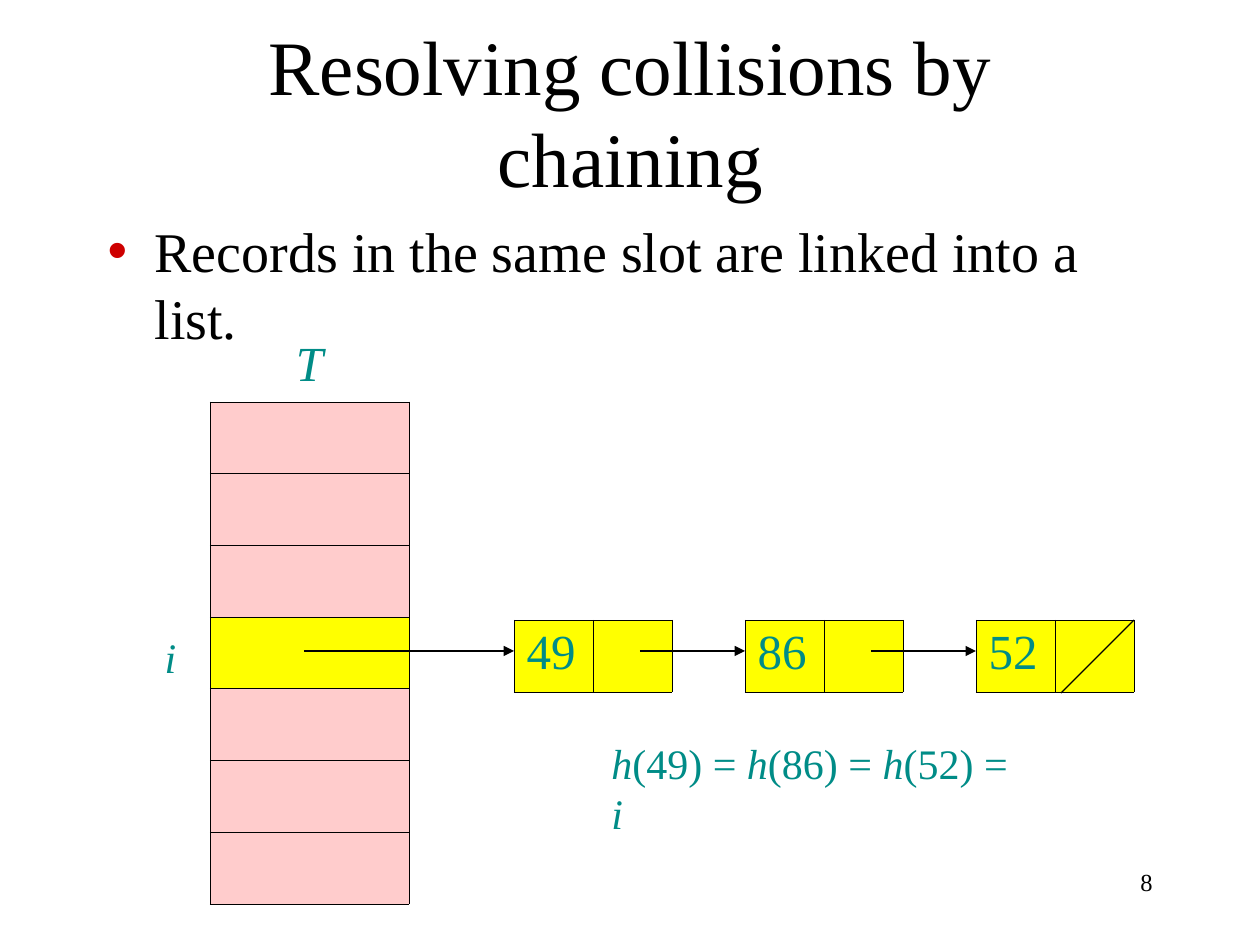
import dataclasses

import pptx
import pptx.dml.color
import pptx.enum.shapes
import pptx.enum.text
import pptx.oxml
import pptx.oxml.ns
import pptx.util

SCALE = 914400 / 126
ALIGN = pptx.enum.text.PP_ALIGN
FIT = pptx.enum.text.MSO_AUTO_SIZE


@dataclasses.dataclass(frozen=True)
class Theme:
    font: str = "Times New Roman"
    ink: str = "000000"
    teal: str = "008C87"
    pink: str = "FFCCCC"
    gold: str = "FFFF00"
    red: str = "CE0000"
    title: int = 44
    body: int = 32
    cell: int = 28
    label: int = 24
    page: int = 14
    line: float = 0.75
    thin: float = 0.23
    rule: float = 0.45


THEME = Theme()


def px(num):
    return pptx.util.Emu(round(num * SCALE))


def rgb(code):
    return pptx.dml.color.RGBColor.from_string(code)


def xml(text):
    return pptx.oxml.parse_xml(text.replace(">", f" {pptx.oxml.ns.nsdecls('a')}>", 1))


def style(font, size, color, slant=False):
    font.name = THEME.font
    font.size = pptx.util.Pt(size)
    font.color.rgb = rgb(color)
    font.italic = slant


def place(shape, box):
    shape.left, shape.top, shape.width, shape.height = map(px, box)


def add_title(slide, box, text):
    title = slide.shapes.title
    place(title, box)
    frame = title.text_frame
    frame.text = text
    frame.auto_size = FIT.NONE
    frame.vertical_anchor = pptx.enum.text.MSO_ANCHOR.MIDDLE
    para = frame.paragraphs[0]
    para.alignment = ALIGN.CENTER
    for run in para.runs:
        style(run.font, THEME.title, THEME.ink)


def add_body(slide, box, text):
    body = slide.placeholders[1]
    place(body, box)
    frame = body.text_frame
    frame.text = text
    frame.auto_size = FIT.NONE
    para = frame.paragraphs[0]
    para.space_before = pptx.util.Pt(0)
    props = para._p.get_or_add_pPr()
    props.set("marL", str(px(47)))
    props.set("indent", str(px(-47)))
    props.append(xml(f'<a:buClr><a:srgbClr val="{THEME.red}"/></a:buClr>'))
    props.append(xml('<a:buChar char="•"></a:buChar>'))
    style(para.runs[0].font, THEME.body, THEME.ink)


def edge(cell, left, right, top, bottom):
    """Set the border widths in points; zero hides a side."""
    props = cell._tc.get_or_add_tcPr()
    for side, width in zip("LRTB", (left, right, top, bottom)):
        fill = f'<a:solidFill><a:srgbClr val="{THEME.ink}"/></a:solidFill>' if width else "<a:noFill/>"
        props.append(xml(f'<a:ln{side} w="{pptx.util.Pt(width)}">{fill}</a:ln{side}>'))


def paint(cell, color):
    cell.fill.solid()
    cell.fill.fore_color.rgb = rgb(color)


def add_grid(slide, box, rows, cols):
    grid = slide.shapes.add_table(rows, cols, *map(px, box)).table
    grid.first_row = grid.horz_banding = False
    return grid


def fill_text(cell, text, slant=False):
    cell.text = text
    para = cell.text_frame.paragraphs[0]
    style(para.runs[0].font, THEME.cell, THEME.teal, slant)
    return para


def add_slots(slide, box, count, hit):
    """Draw the hash table under its name, with slot number hit in gold."""
    head = 66
    grid = add_grid(slide, box, count + 1, 1)
    grid.rows[0].height = px(head)
    name = grid.cell(0, 0)
    para = fill_text(name, "T", slant=True)
    para.alignment = ALIGN.CENTER
    para.line_spacing = 0.9
    edge(name, 0, 0, 0, THEME.rule)
    name.fill.background()
    for row in range(1, count + 1):
        grid.rows[row].height = px((box[3] - head) / count)
        slot = grid.cell(row, 0)
        base = THEME.thin if row == count else THEME.rule
        edge(slot, THEME.thin, THEME.thin, THEME.rule, base)
        paint(slot, THEME.gold if row == hit else THEME.pink)


def add_node(slide, box, key):
    grid = add_grid(slide, box, 1, 2)
    data, link = grid.cell(0, 0), grid.cell(0, 1)
    fill_text(data, key)
    edge(data, THEME.thin, THEME.rule, THEME.thin, THEME.thin)
    edge(link, THEME.rule, THEME.thin, THEME.thin, THEME.thin)
    for cell in (data, link):
        paint(cell, THEME.gold)


def add_line(slide, start, end, arrow=False):
    kind = pptx.enum.shapes.MSO_CONNECTOR.STRAIGHT
    line = slide.shapes.add_connector(kind, *map(px, start + end))
    line.line.width = pptx.util.Pt(THEME.line)
    line.line.color.rgb = rgb(THEME.ink)
    if arrow:
        line.line._get_or_add_ln().append(xml('<a:tailEnd type="triangle"></a:tailEnd>'))
    line._element.spPr.append(xml("<a:effectLst></a:effectLst>"))


def add_chain(slide, box, keys, source):
    """Draw linked nodes spread over the box, reached from x = source."""
    left, top, width, height = box
    node = 158
    step = (width - node) // (len(keys) - 1)
    mid = top + 31
    for pos, key in enumerate(keys):
        x = left + pos * step
        add_node(slide, (x, top, node, height), key)
        add_line(slide, (source, mid), (x, mid), arrow=True)
        source = x + 126
    end = left + width
    add_line(slide, (end - 73, top + 73), (end, top))


def add_label(slide, box, parts, size, color, align=ALIGN.LEFT, wrap=False):
    """Add a text box; parts holds pairs of text and italic flag."""
    frame = slide.shapes.add_textbox(*map(px, box)).text_frame
    frame.word_wrap = wrap
    frame.auto_size = FIT.NONE if wrap else FIT.SHAPE_TO_FIT_TEXT
    para = frame.paragraphs[0]
    para.alignment = align
    for text, slant in parts:
        run = para.add_run()
        run.text = text
        style(run.font, size, color, slant)


def main():
    deck = pptx.Presentation()
    deck.slide_width, deck.slide_height = px(1260), px(945)
    slide = deck.slides.add_slide(deck.slide_layouts[1])
    keys = ["49", "86", "52"]
    add_title(slide, (95, 32, 1071, 157), "Resolving collisions by\vchaining")
    add_body(slide, (95, 210, 1071, 630), "Records in the same slot are linked into a list.")
    add_slots(slide, (210, 336, 199, 568), count=7, hit=4)
    add_chain(slide, (514, 620, 620, 72), keys, source=304)
    add_label(slide, (152, 625, 37, 63), [("i", True)], THEME.label, THEME.teal, ALIGN.CENTER)
    parts = [part for key in keys for part in (("h", True), (f"({key}) = ", False))]
    add_label(slide, (599, 731, 443, 63), parts + [("i", True)], THEME.label, THEME.teal)
    add_label(slide, (903, 861, 262, 63), [("8", False)], THEME.page, THEME.ink, ALIGN.RIGHT, wrap=True)
    deck.save("out.pptx")


if __name__ == "__main__":
    main()
